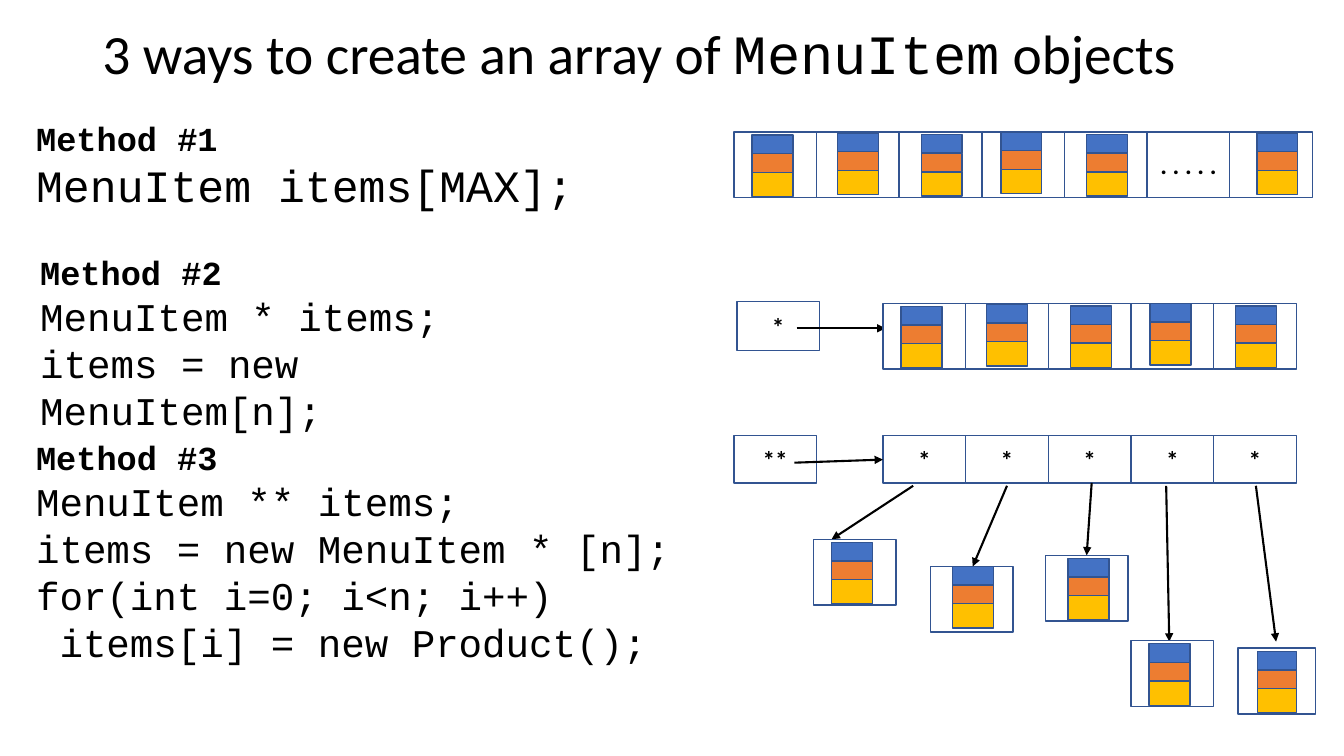
from lxml.etree import SubElement
from pptx import Presentation
from pptx.dml.color import RGBColor
from pptx.enum.shapes import MSO_CONNECTOR, MSO_SHAPE
from pptx.enum.text import MSO_ANCHOR, PP_ALIGN
from pptx.oxml.ns import qn
from pptx.util import Pt

BLACK = RGBColor(0x00, 0x00, 0x00)
WHITE = RGBColor(0xFF, 0xFF, 0xFF)
OUTLINE = RGBColor(0x32, 0x54, 0x91)
BLUE = RGBColor(0x44, 0x72, 0xC4)
ORANGE = RGBColor(0xED, 0x7D, 0x31)
GOLD = RGBColor(0xFF, 0xC0, 0x00)

BODY_FONT, CODE_FONT = "Calibri", "Courier New"
CELL_W, CELL_H = 59.04, 47
POINTER_H = 34
FIELD_STEP = 13.35
FIELDS = [(BLUE, 13.3), (ORANGE, 13.3), (GOLD, 17.3)]

# Place of each item inside its array cell
ITEM_OFFSETS = [(13, 2.2), (15.1, 0.7), (15.8, 1.8), (13.7, 0), (15.8, 1.8)]
LAST_ITEM_OFFSET = (19.4, 0.7)

# Arrow start, arrow end, box corner, box width, item offset, item width
ALLOCATIONS = [
    ((652.3, 347), (594, 385.2), (581, 385.2), CELL_W, (13, 2.2), 29.2),
    ((719.3, 347), (694.8, 404.6), (664.6, 404.6), CELL_W, (15.8, 0), 29.2),
    ((779.8, 344.9), (776.2, 396.7), (746.6, 396.7), CELL_W, (16.3, 2.2), 29.2),
    ((833, 347), (835.2, 458.3), (807.8, 457.6), CELL_W, (13, 2.2), 29.2),
    ((897.1, 347), (911.5, 458.3), (884.2, 463), 55.4, (14.2, 2.2), 27.6),
]


def add_run(paragraph, text, size, font=BODY_FONT, bold=False):
    run = paragraph.add_run()
    run.text = text
    run.font.name = font
    run.font.size = Pt(size)
    run.font.bold = bold
    run.font.color.rgb = BLACK


def add_box(slide, left, top, width, height, fill=WHITE, label=""):
    box = slide.shapes.add_shape(
        MSO_SHAPE.RECTANGLE, Pt(left), Pt(top), Pt(width), Pt(height))
    box.shadow.inherit = False
    box.fill.solid()
    box.fill.fore_color.rgb = fill
    box.line.color.rgb = OUTLINE
    box.line.width = Pt(1)
    if label:
        box.text_frame.vertical_anchor = MSO_ANCHOR.MIDDLE
        paragraph = box.text_frame.paragraphs[0]
        paragraph.alignment = PP_ALIGN.CENTER
        add_run(paragraph, label, 18, bold=True)


def add_item(slide, corner, offset, width=29.2):
    """Draw one MenuItem object as a stack of three coloured fields."""
    left, top = corner[0] + offset[0], corner[1] + offset[1]
    for row, (color, height) in enumerate(FIELDS):
        add_box(slide, left, top + row * FIELD_STEP, width, height, color)


def add_array(slide, left, top, height, labels, offsets=()):
    """Draw adjoining cells, then an item in each cell that has an offset."""
    corners = [(left + i * CELL_W, top) for i in range(len(labels))]
    for corner, label in zip(corners, labels):
        add_box(slide, *corner, CELL_W, height, label=label)
    for corner, offset in zip(corners, offsets):
        if offset:
            add_item(slide, corner, offset)


def add_arrow(slide, start, end):
    arrow = slide.shapes.add_connector(
        MSO_CONNECTOR.STRAIGHT, *(Pt(value) for value in (*start, *end)))
    arrow.line.color.rgb = BLACK
    arrow.line.width = Pt(1.5)
    SubElement(arrow.line._get_or_add_ln(), qn("a:tailEnd"), type="triangle")
    SubElement(arrow._element.spPr, qn("a:effectLst"))


def add_text_frame(slide, left, top, width, height):
    frame = slide.shapes.add_textbox(
        Pt(left), Pt(top), Pt(width), Pt(height)).text_frame
    frame.word_wrap = True
    return frame


def add_title(slide):
    frame = add_text_frame(slide, 66, 13, 828, 55.4)
    frame.vertical_anchor = MSO_ANCHOR.MIDDLE
    paragraph = frame.paragraphs[0]
    paragraph.line_spacing = 0.9
    add_run(paragraph, "3 ways to create an array of ", 39.6)
    add_run(paragraph, "MenuItem", 39.6, CODE_FONT)
    add_run(paragraph, " objects", 39.6)


def add_method(slide, bounds, heading, size, code_lines):
    frame = add_text_frame(slide, *bounds)
    add_run(frame.paragraphs[0], heading, 24, CODE_FONT, bold=True)
    for line in code_lines:
        add_run(frame.add_paragraph(), line, size, CODE_FONT)


def add_static_array(slide):
    labels = [""] * 5 + [". . . . .", ""]
    add_array(slide, 524.2, 94.3, CELL_H, labels,
              ITEM_OFFSETS + [None, LAST_ITEM_OFFSET])


def add_dynamic_array(slide):
    add_box(slide, 526.3, 215.3, CELL_W, 35.3, label="*")
    add_arrow(slide, (569, 234.5), (632.5, 234.5))
    add_array(slide, 630.7, 216.7, CELL_H, [""] * 5, ITEM_OFFSETS)


def add_pointer_array(slide):
    add_array(slide, 630.7, 311, POINTER_H, ["*"] * 5)
    add_box(slide, 524.2, 311, CELL_W, POINTER_H, label="**")
    add_arrow(slide, (567.4, 330.5), (630.7, 328.3))
    for start, end, corner, width, offset, item_width in ALLOCATIONS:
        add_arrow(slide, start, end)
        add_box(slide, *corner, width, CELL_H)
        add_item(slide, corner, offset, item_width)


def main():
    deck = Presentation()
    deck.slide_width, deck.slide_height = Pt(960), Pt(540)
    slide = deck.slides.add_slide(deck.slide_layouts[6])
    add_title(slide)
    add_static_array(slide)
    add_dynamic_array(slide)
    add_pointer_array(slide)
    add_method(slide, (18.7, 80.6, 416.2, 74.9), "Method #1", 32,
               ["MenuItem items[MAX];"])
    add_method(slide, (21.6, 176.6, 416.2, 104.4), "Method #2", 28,
               ["MenuItem * items;", "items = new MenuItem[n];"])
    add_method(slide, (18.7, 308.5, 489.6, 205.9), "Method #3", 28,
               ["MenuItem ** items;", "items = new MenuItem * [n];",
                "for(int i=0; i<n; i++)", " items[i] = new Product();"])
    deck.save("out.pptx")


if __name__ == "__main__":
    main()
